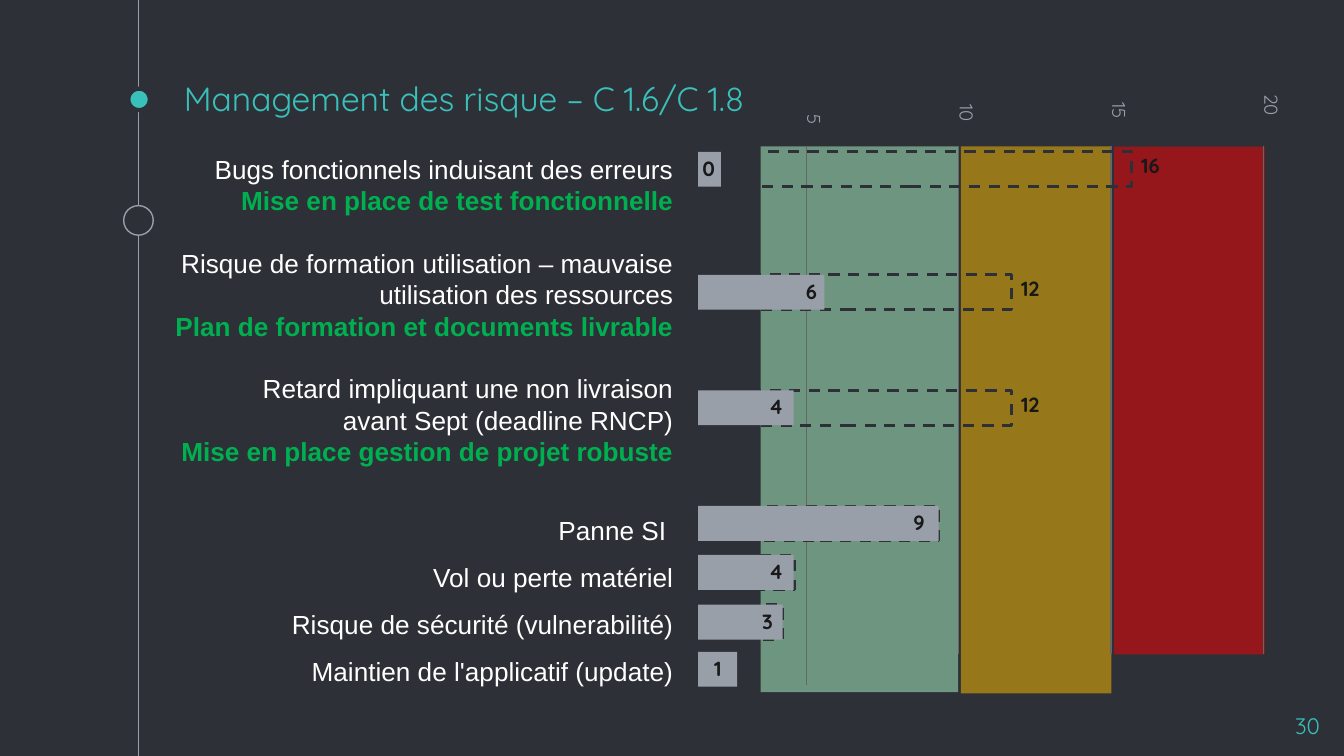
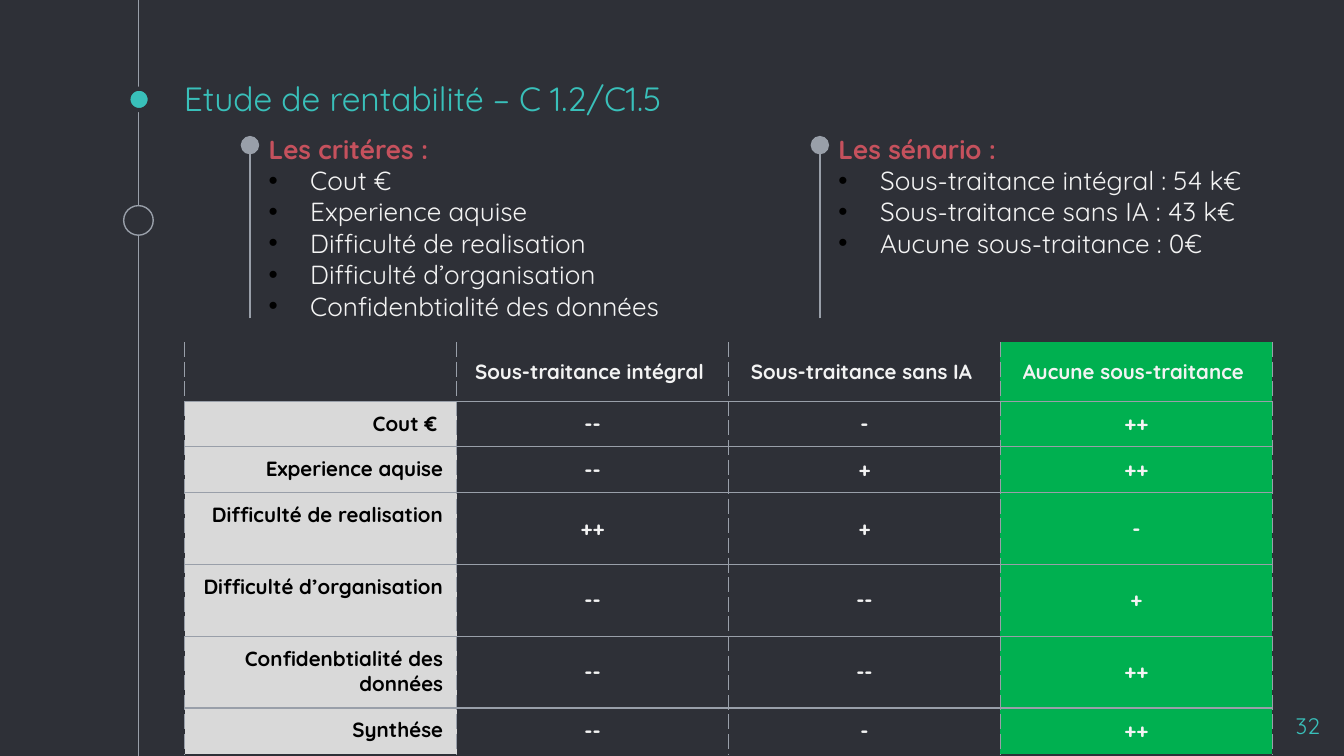
from dataclasses import dataclass
from typing import Optional

from lxml import etree
from pptx import Presentation
from pptx import util as u
from pptx.dml.color import RGBColor
from pptx.enum import dml, shapes, text
from pptx.oxml.ns import qn

# Square grid: 100 columns across, 56.25 rows down
WIDTH, HEIGHT = u.Inches(10), u.Inches(5.625)
COLUMNS, ROWS = 100, 56.25
ALIGN, ANCHOR = text.PP_ALIGN, text.MSO_ANCHOR


@dataclass(frozen=True)
class Theme:
    back: str = "2E3037"
    accent: str = "39C0BA"
    grey: str = "999FA9"
    rule: str = "666666"
    dark: str = "181818"
    black: str = "000000"
    white: str = "FFFFFF"
    light: str = "F3F3F3"
    label_fill: str = "D9D9D9"
    heading: str = "C5515D"
    green: str = "00B050"
    font: str = "Quicksand"
    body_font: str = "Arial"
    title: float = 18
    body: float = 14
    page: float = 12
    small: float = 11
    tick: float = 10
    leading: float = 16.8
    thin: float = 0.75


T = Theme()


@dataclass(frozen=True)
class Risk:
    lines: tuple[str, ...]
    action: str = ""


@dataclass(frozen=True)
class Zone:
    x: float
    w: float
    h: float
    color: str


@dataclass(frozen=True)
class Bar:
    y: float
    length: float
    end: float
    value: str
    value_right: float
    before: str = ""


@dataclass(frozen=True)
class Listing:
    x: float
    heading: str
    items: tuple[str, ...]


RISKS = (
    Risk(("Bugs fonctionnels induisant des erreurs",), "Mise en place de test fonctionnelle"),
    Risk(("Risque de formation utilisation – mauvaise", "utilisation des ressources"),
         "Plan de formation et documents livrable"),
    Risk(("Retard impliquant une non livraison", "avant Sept (deadline RNCP)"),
         "Mise en place gestion de projet robuste"),
    Risk(("Panne SI ", "Vol ou perte matériel", "Risque de sécurité (vulnerabilité)",
          "Maintien de l'applicatif (update)")),
)
ZONES = (Zone(71.5, 11.2, 40.7, "FFC000"), Zone(56.6, 14.7, 40.6, "AFFBC7"),
         Zone(82.9, 11.2, 37.8, "FF0000"))
BARS = (
    Bar(11.3, 1.7, 84.2, "0", 53.2, "16"),
    Bar(20.45, 9.4, 75.25, "6", 60.8, "12"),
    Bar(29.05, 7.1, 75.25, "4", 58.3, "12"),
    Bar(37.65, 17.9, 69.85, "9", 68.8),
    Bar(41.3, 7.1, 59.1, "4", 58.3),
    Bar(45, 6.3, 58.2, "3", 57.5),
    Bar(48.5, 2.9, 54.9, "1", 53.7),
)
CRITERIA = ("Cout € ", "Experience aquise", "Difficulté de realisation",
            "Difficulté d’organisation", "Confidenbtialité des données")
LISTINGS = (
    Listing(18.6, "Les critéres : ", CRITERIA),
    Listing(61, "Les sénario :", ("Sous-traitance intégral : 54 k€",
                                  "Sous-traitance sans IA : 43 k€",
                                  "Aucune sous-traitance : 0€")),
)
HEADERS = ("", "Sous-traitance intégral ", "Sous-traitance sans IA ", "Aucune sous-traitance ")
SCORES = (("--", "-", "++"), ("--", "+", "++"), ("++", "+", "-"),
          ("--", "--", "+"), ("--", "--", "++"), ("--", "-", "++"))
ROW_HEIGHTS = (3.4, 3.4, 3.4, 5.35, 5.35, 5.35, 3.4)


# Helpers
def col(n: float) -> u.Emu:
    return u.Emu(round(WIDTH * n / COLUMNS))


def row(n: float) -> u.Emu:
    return u.Emu(round(HEIGHT * n / ROWS))


def rgb(color: str) -> RGBColor:
    return RGBColor.from_string(color)


def paint(fill, color: str, alpha: Optional[int] = None) -> None:
    """Solid fill, with opacity in percent."""
    fill.solid()
    fill.fore_color.rgb = rgb(color)
    if alpha is not None:
        clr = next(fill._xPr.iter(qn("a:srgbClr")))
        etree.SubElement(clr, qn("a:alpha"), val=str(alpha * 1000))


def add_shape(s, x, y, w, h, *, kind=shapes.MSO_SHAPE.RECTANGLE, fill=None, alpha=None,
              line=None, width=T.thin, dash=None):
    sp = s.shapes.add_shape(kind, col(x), row(y), col(w), row(h))
    sp.shadow.inherit = False
    if fill:
        paint(sp.fill, fill, alpha)
    else:
        sp.fill.background()
    if line:
        sp.line.color.rgb = rgb(line)
        sp.line.width = u.Pt(width)
        if dash:
            sp.line.dash_style = dash
    else:
        sp.line.fill.background()
    return sp


def add_line(s, x, y1, y2, color=T.grey, oval_end=False):
    cn = s.shapes.add_connector(shapes.MSO_CONNECTOR.STRAIGHT, col(x), row(y1), col(x), row(y2))
    cn.line.color.rgb = rgb(color)
    cn.line.width = u.Pt(T.thin)
    if oval_end:
        etree.SubElement(cn.line._get_or_add_ln(), qn("a:tailEnd"), type="oval", w="lg", len="lg")
    etree.SubElement(cn._element.spPr, qn("a:effectLst"))
    return cn


def add_box(s, x, y, w, h, *, inset=(0, 0), anchor=ANCHOR.TOP):
    sp = s.shapes.add_textbox(col(x), row(y), col(w), row(h))
    tf = sp.text_frame
    tf.word_wrap = True
    tf.vertical_anchor = anchor
    tf.margin_left = tf.margin_right = col(inset[0])
    tf.margin_top = tf.margin_bottom = row(inset[1])
    return sp


def write(tf, words: str, *, size=T.body, color=T.light, bold=False, font=T.font,
          align=ALIGN.LEFT, leading=None, before=None, bullet=False):
    """Add one paragraph, using the empty first one if it is free."""
    p = tf.paragraphs[0] if not tf.paragraphs[0].runs else tf.add_paragraph()
    if bullet:
        pPr = p._p.get_or_add_pPr()
        indent = col(3.1)
        pPr.set("marL", str(indent))
        pPr.set("indent", str(-indent))
        clr = etree.SubElement(pPr, qn("a:buClr"))
        etree.SubElement(clr, qn("a:srgbClr"), val=T.black)
        etree.SubElement(pPr, qn("a:buFont"), typeface="Arial")
        etree.SubElement(pPr, qn("a:buChar"), char="•")
    p.alignment = align
    if leading:
        p.line_spacing = u.Pt(leading)
    if before:
        p.space_before = u.Pt(before)
    r = p.add_run()
    r.text = words
    r.font.name, r.font.size, r.font.bold = font, u.Pt(size), bold
    r.font.color.rgb = rgb(color)
    return p


def add_frame(prs, title: str, page: int):
    """Slide with the shared timeline, title and page number."""
    s = prs.slides.add_slide(prs.slide_layouts[6])
    paint(s.background.fill, T.back)
    add_line(s, 10.3, 0, ROWS)
    oval = shapes.MSO_SHAPE.OVAL
    add_shape(s, 9.55, 6.6, 1.6, 1.6, kind=oval, fill=T.accent, line=T.back, width=2.25)
    add_shape(s, 9.2, 15.3, 2.2, 2.2, kind=oval, fill=T.back, line=T.grey)
    sp = add_box(s, 12.7, 6, 75, 3.8, inset=(1, 1), anchor=ANCHOR.BOTTOM)
    write(sp.text_frame, title, size=T.title, color=T.accent)
    sp = add_box(s, 93.2, 52, 6, 3.4, inset=(1, 1))
    write(sp.text_frame, str(page), size=T.page, color=T.accent, align=ALIGN.RIGHT)
    return s


# Risk slide
def add_value(s, right: float, y: float, value: str) -> None:
    sp = add_box(s, right - 3.4, y, 3.4, 3)
    write(sp.text_frame, value, size=T.small, color=T.dark, bold=True, align=ALIGN.RIGHT)


def add_bar(s, bar: Bar) -> None:
    left, thick = 51.95, 2.6
    add_shape(s, left - 0.6, bar.y, bar.end - left + 0.6, thick, line=T.back, width=1.5,
              dash=dml.MSO_LINE.DASH)
    add_shape(s, left, bar.y, bar.length, thick, fill=T.grey)
    if bar.before:
        add_value(s, bar.end + 2.1, bar.y + 0.1, bar.before)
    add_value(s, bar.value_right, bar.y + 0.3, bar.value)


def build_risks(prs) -> None:
    s = add_frame(prs, "Management des risque – C 1.6/C 1.8", 30)
    tf = add_box(s, 7.5, 10.9, 43.6, 40.6, inset=(1, 0.5)).text_frame
    for i, risk in enumerate(RISKS):
        leading = T.leading if risk.action else 1.5 * T.leading
        for j, line in enumerate(risk.lines):
            write(tf, line, color=T.white, font=T.body_font, align=ALIGN.RIGHT, leading=leading,
                  before=T.leading if i and not j else None)
        if risk.action:
            write(tf, risk.action, color=T.green, bold=True, font=T.body_font,
                  align=ALIGN.RIGHT, leading=leading)
    # Severity zones and scale
    top = 10.9
    for z in ZONES:
        add_shape(s, z.x, top, z.w, z.h, fill=z.color, alpha=50)
    for i in range(4):
        x = 60 + 11.34 * i
        add_line(s, x, top, 48.7 if i else 51, T.rule)
        sp = add_box(s, x - 1.75, 6.1 - 0.23 * i, 3.4, 3)
        sp.rotation = 90
        write(sp.text_frame, str(5 * (i + 1)), size=T.tick, color=T.grey, align=ALIGN.RIGHT)
    for bar in BARS:
        add_bar(s, bar)


# Profitability slide
def add_listing(s, item: Listing) -> None:
    add_line(s, item.x, 23.7, 10.8, oval_end=True)
    tf = add_box(s, item.x + 0.4, 8.9, 44.2, 16.5, inset=(1, 1)).text_frame
    write(tf, item.heading, color=T.heading, bold=True, align=ALIGN.JUSTIFY, leading=T.leading)
    for words in item.items:
        write(tf, words, align=ALIGN.JUSTIFY, leading=T.leading, bullet=True)


def set_borders(cell, above: bool, below: bool) -> None:
    """Dashed sides; solid rules between rows only."""
    tcPr = cell._tc.get_or_add_tcPr()
    edges = (("lnL", True, "dash"), ("lnR", True, "dash"),
             ("lnT", above, "solid"), ("lnB", below, "solid"))
    for tag, shown, dash in edges:
        ln = etree.SubElement(tcPr, qn("a:" + tag), w=str(u.Pt(T.thin)))
        if shown:
            fill = etree.SubElement(ln, qn("a:solidFill"))
            etree.SubElement(fill, qn("a:srgbClr"), val=T.grey)
            etree.SubElement(ln, qn("a:prstDash"), val=dash)
        else:
            etree.SubElement(ln, qn("a:noFill"))


def add_scores(s) -> None:
    grid = (HEADERS, *((name, *marks) for name, marks in zip((*CRITERIA, "Synthése"), SCORES)))
    n, m, w = len(grid), len(HEADERS), 20.23
    tb = s.shapes.add_table(n, m, col(13.75), row(25.45), col(m * w), row(sum(ROW_HEIGHTS))).table
    tb.first_row = tb.horz_banding = False
    for c in tb.columns:
        c.width = col(w)
    for i, (values, height) in enumerate(zip(grid, ROW_HEIGHTS)):
        tb.rows[i].height = row(height)
        for j, value in enumerate(values):
            cell = tb.cell(i, j)
            label = i > 0 and j == 0
            set_borders(cell, i > 0, i < n - 1)
            cell.margin_left = cell.margin_right = col(1)
            cell.margin_top = cell.margin_bottom = row(0.7)
            cell.vertical_anchor = ANCHOR.TOP if label else ANCHOR.MIDDLE
            if label:
                paint(cell.fill, T.label_fill)
            elif j == m - 1:
                paint(cell.fill, T.green, 50)
            else:
                cell.fill.background()
            write(cell.text_frame, value, size=T.small, bold=True,
                  color=T.black if label else T.light,
                  align=ALIGN.RIGHT if label else ALIGN.CENTER)


def build_profitability(prs) -> None:
    s = add_frame(prs, "Etude de rentabilité – C 1.2/C1.5", 32)
    for item in LISTINGS:
        add_listing(s, item)
    add_scores(s)


def main() -> None:
    prs = Presentation()
    prs.slide_width, prs.slide_height = WIDTH, HEIGHT
    build_risks(prs)
    build_profitability(prs)
    prs.save("out.pptx")


if __name__ == "__main__":
    main()
